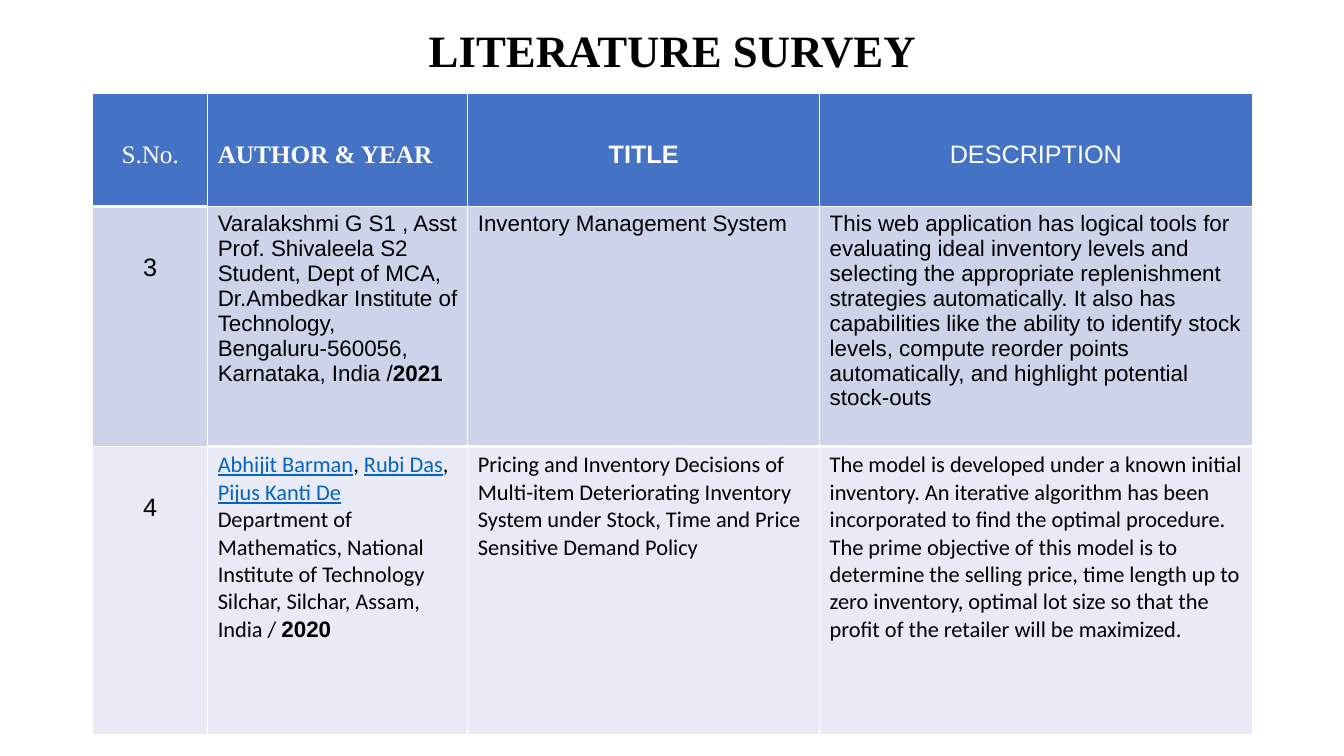
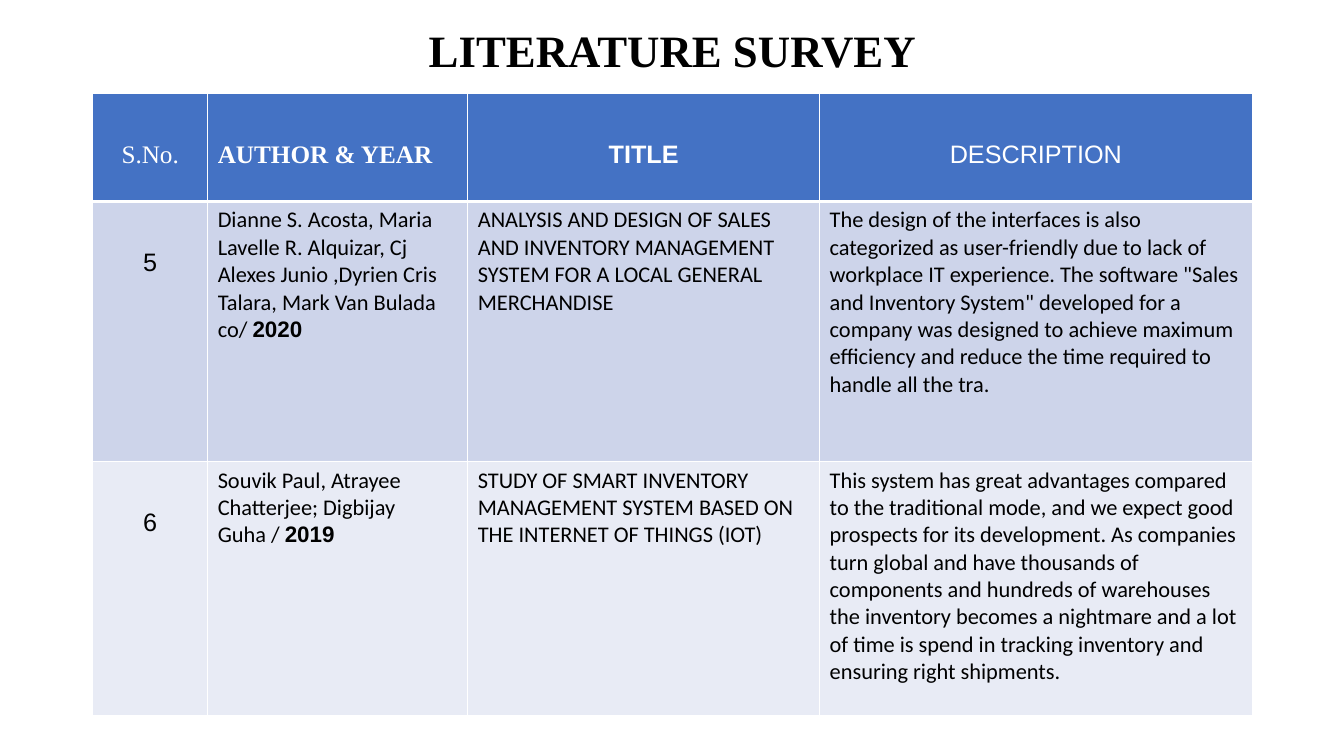
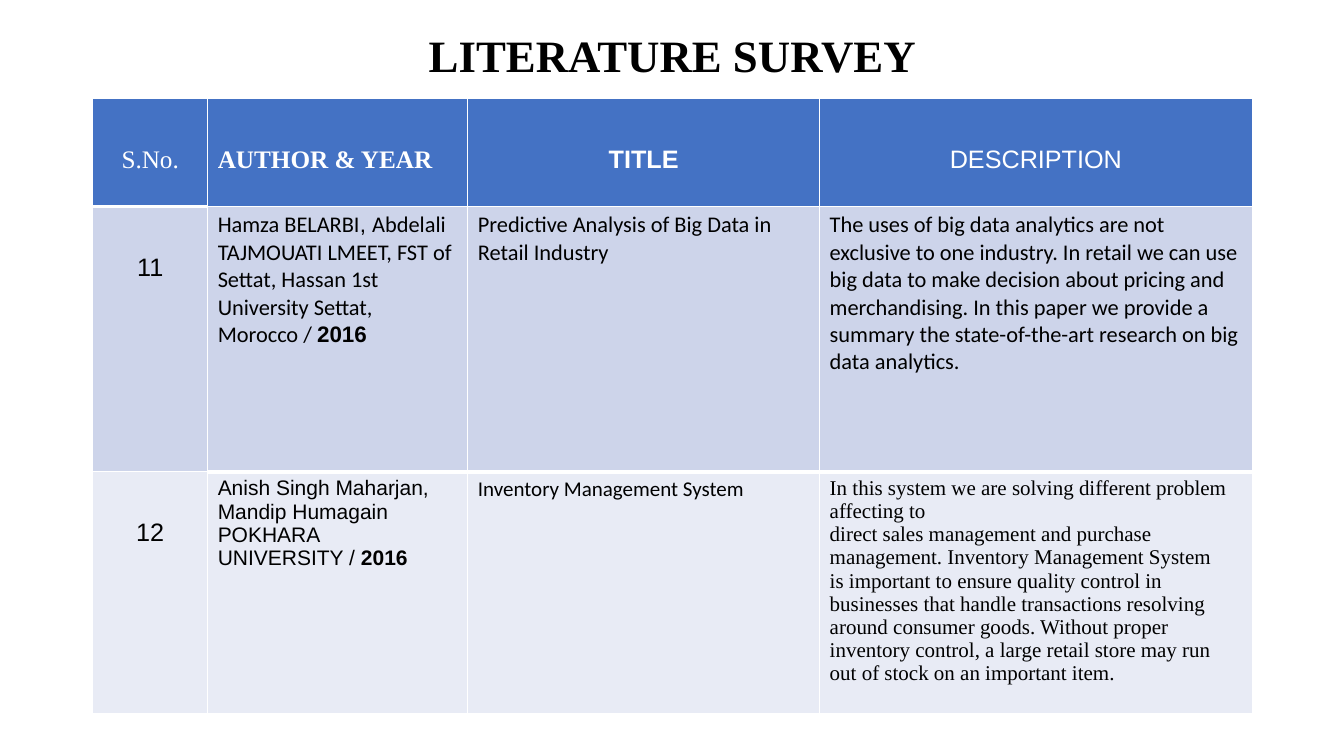
import pptx
import pptx.dml.color
import pptx.enum.text
import pptx.oxml
import pptx.oxml.ns
import pptx.util

RGB = pptx.dml.color.RGBColor
BLACK = RGB(0x00, 0x00, 0x00)
WHITE = RGB(0xFF, 0xFF, 0xFF)
HEADER_BLUE = RGB(0x44, 0x72, 0xC4)
BAND_DARK = RGB(0xCD, 0xD4, 0xEA)
BAND_LIGHT = RGB(0xE8, 0xEB, 0xF5)
LINK_BLUE = RGB(0x05, 0x63, 0xC1)

ARIAL, CALIBRI, TIMES = "Arial", "Calibri", "Times New Roman"
CENTER = pptx.enum.text.PP_ALIGN.CENTER
LEFT = pptx.enum.text.PP_ALIGN.LEFT

WIDTH, HEIGHT = 13.33, 7.5
MARGIN = 0.92
CONTENT_WIDTH = 11.5
TITLE_HEIGHT = 1.15
TABLE_OFFSET = 0.98
COLUMNS = (1.14, 2.58, 3.49, 4.29)
FILLS = (HEADER_BLUE, BAND_DARK, BAND_LIGHT)
STAGGERED = ({0}, {1, 2, 3})
STRAIGHT = ({0, 1, 2, 3}, set())


def add_text(p, text, font=ARIAL, size=16, color=BLACK, bold=False, underline=False):
    """Add one formatted run to a paragraph."""
    r = p.add_run()
    r.text = text
    r.font.name = font
    r.font.size = pptx.util.Pt(size)
    r.font.bold = bold
    r.font.underline = underline
    r.font.color.rgb = color


def fill_text(tf, paragraphs, align=LEFT, spacing=1.0, **fmt):
    """Write paragraphs, each a list of (text, format) runs, into a text frame."""
    for i, runs in enumerate(paragraphs):
        p = tf.paragraphs[0] if i == 0 else tf.add_paragraph()
        p.alignment = align
        p.line_spacing = spacing
        for text, own in runs:
            add_text(p, text, **{**fmt, **own})


def plain(*texts, **fmt):
    """Return one single-run paragraph for each text."""
    return [[(text, fmt)] for text in texts]


def author(text, year, **fmt):
    """Return a paragraph of author details ending in a bold Arial year."""
    return [(text, fmt), (year, {**fmt, "font": ARIAL, "bold": True})]


def set_border(cell, side, width):
    """Draw a white border on one side of a cell."""
    ns = pptx.oxml.ns.nsdecls("a")
    ln = pptx.oxml.parse_xml(
        f'<a:{side} {ns} w="{pptx.util.Pt(width)}"><a:solidFill>'
        f'<a:srgbClr val="{WHITE}"/></a:solidFill></a:{side}>')
    cell._tc.get_or_add_tcPr().append(ln)


def style_cell(cell, row, col, thick):
    """Set the borders and the band colour of a cell."""
    top = 3 if row > 0 and col in thick[row - 1] else 1
    bottom = 3 if row < len(thick) and col in thick[row] else 1
    for side, width in (("lnL", 1), ("lnR", 1), ("lnT", top), ("lnB", bottom)):
        set_border(cell, side, width)
    cell.fill.solid()
    cell.fill.fore_color.rgb = FILLS[row]


def add_title(slide, text, left, top, width, height):
    """Place and format the title placeholder."""
    sp = slide.shapes.title
    sp.left, sp.top, sp.width, sp.height = map(pptx.util.Inches, (left, top, width, height))
    tf = sp.text_frame
    tf.word_wrap = True
    tf.auto_size = pptx.enum.text.MSO_AUTO_SIZE.NONE
    tf.vertical_anchor = pptx.enum.text.MSO_ANCHOR.MIDDLE
    fill_text(tf, plain(text), align=CENTER, spacing=0.9, font=TIMES, size=32, bold=True)


def add_survey_table(slide, left, top, width, heights, papers, thick):
    """Place the survey table: a header row and one row for each paper."""
    box = map(pptx.util.Inches, (left, top, width, sum(heights)))
    table = slide.shapes.add_table(len(heights), len(COLUMNS), *box).table
    for column, share in zip(table.columns, COLUMNS):
        column.width = pptx.util.Inches(width * share / sum(COLUMNS))
    for row, height in zip(table.rows, heights):
        row.height = pptx.util.Inches(height)
    header = (
        ("S.No.", CENTER, TIMES, False),
        ("AUTHOR & YEAR", LEFT, TIMES, True),
        ("TITLE", CENTER, ARIAL, True),
        ("DESCRIPTION", CENTER, ARIAL, False),
    )
    for col, (text, align, font, bold) in enumerate(header):
        fill_text(table.cell(0, col).text_frame, plain(text), align=align,
                  spacing=2.5, font=font, size=18, color=WHITE, bold=bold)
    for row, (number, *details) in enumerate(papers, 1):
        fill_text(table.cell(row, 0).text_frame, plain(number),
                  align=CENTER, spacing=2.5, size=18)
        for col, paragraphs in enumerate(details, 1):
            fill_text(table.cell(row, col).text_frame, paragraphs)
    for row in range(len(heights)):
        for col in range(len(COLUMNS)):
            style_cell(table.cell(row, col), row, col, thick)


def add_survey_slide(prs, top, heights, papers, thick):
    """Add one literature survey slide."""
    slide = prs.slides.add_slide(prs.slide_layouts[5])
    add_title(slide, "LITERATURE SURVEY", MARGIN, top, CONTENT_WIDTH, TITLE_HEIGHT)
    add_survey_table(slide, MARGIN, top + TABLE_OFFSET, CONTENT_WIDTH, heights, papers, thick)


LINK = {"font": CALIBRI, "color": LINK_BLUE, "underline": True}
BODY = {"font": CALIBRI}

SURVEYS = (
    (-0.05, (1.12, 2.38, 2.86), (
        ("3",
         [author("Varalakshmi G S1 , Asst Prof. Shivaleela S2 Student, Dept of MCA, "
                 "Dr.Ambedkar Institute of Technology, Bengaluru-560056, "
                 "Karnataka, India /", "2021")],
         plain("Inventory Management System"),
         plain("This web application has logical tools for evaluating ideal inventory "
               "levels and selecting the appropriate replenishment strategies "
               "automatically. It also has capabilities like the ability to identify "
               "stock levels, compute reorder points automatically, and highlight "
               "potential stock-outs")),
        ("4",
         [[("Abhijit Barman", LINK), (", ", BODY), ("Rubi Das", LINK), (", ", BODY),
           ("Pijus Kanti De", LINK)],
          author("Department of Mathematics, National Institute of Technology Silchar, "
                 "Silchar, Assam, India / ", "2020", **BODY)],
         plain("Pricing and Inventory Decisions of Multi-item Deteriorating Inventory "
               "System under Stock, Time and Price Sensitive Demand Policy", **BODY),
         plain("The model is developed under a known initial inventory. An iterative "
               "algorithm has been incorporated to find the optimal procedure. The prime "
               "objective of this model is to determine the selling price, time length up "
               "to zero inventory, optimal lot size so that the profit of the retailer "
               "will be maximized.", **BODY)),
    ), STAGGERED),
    (-0.05, (1.07, 2.58, 2.52), (
        ("5",
         [author("Dianne S. Acosta, Maria Lavelle R. Alquizar, Cj Alexes Junio ,Dyrien "
                 "Cris Talara, Mark Van Bulada co/ ", "2020", **BODY)],
         plain("ANALYSIS AND DESIGN OF SALES AND INVENTORY MANAGEMENT SYSTEM FOR "
               "A LOCAL GENERAL MERCHANDISE", **BODY),
         plain("The design of the interfaces is also categorized as user-friendly due to "
               "lack of workplace IT experience. The software \"Sales and Inventory "
               "System\" developed for a company was designed to achieve maximum "
               "efficiency and reduce the time required to handle all the tra.", **BODY)),
        ("6",
         [author("Souvik Paul, Atrayee Chatterjee; Digbijay Guha / ", "2019", **BODY)],
         plain("STUDY OF SMART INVENTORY MANAGEMENT SYSTEM BASED ON THE INTERNET OF "
               "THINGS (IOT)", **BODY),
         plain("This system has great advantages compared to the traditional mode, and we "
               "expect good prospects for its development. As companies turn global and "
               "have thousands of components and hundreds of warehouses the inventory "
               "becomes a nightmare and a lot of time is spend in tracking inventory and "
               "ensuring right shipments.", **BODY)),
    ), STRAIGHT),
    (0, (1.07, 2.63, 2.4), (
        ("11",
         [[("Hamza BELARBI", BODY), (", ", {}),
           *author("Abdelali TAJMOUATI LMEET, FST of Settat, Hassan 1st University "
                   "Settat, Morocco / ", "2016", **BODY)]],
         plain("Predictive Analysis of Big Data in Retail Industry", **BODY),
         plain("The uses of big data analytics are not exclusive to one industry. In "
               "retail we can use big data to make decision about pricing and "
               "merchandising. In this paper we provide a summary the state-of-the-art "
               "research on big data analytics.", **BODY)),
        ("12",
         [*plain("Anish Singh Maharjan, Mandip Humagain", size=15),
          author("POKHARA UNIVERSITY / ", "2016", size=15)],
         plain("Inventory Management System", font=CALIBRI, size=15),
         plain("In this system we are solving different problem affecting to",
               "direct sales management and purchase management. Inventory Management "
               "System",
               "is important to ensure quality control in businesses that handle "
               "transactions resolving",
               "around consumer goods. Without proper inventory control, a large retail "
               "store may run",
               "out of stock on an important item.", font=TIMES, size=15)),
    ), STAGGERED),
)


def main():
    """Build the presentation and save it."""
    prs = pptx.Presentation()
    prs.slide_width = pptx.util.Inches(WIDTH)
    prs.slide_height = pptx.util.Inches(HEIGHT)
    for survey in SURVEYS:
        add_survey_slide(prs, *survey)
    prs.save("out.pptx")


if __name__ == "__main__":
    main()
